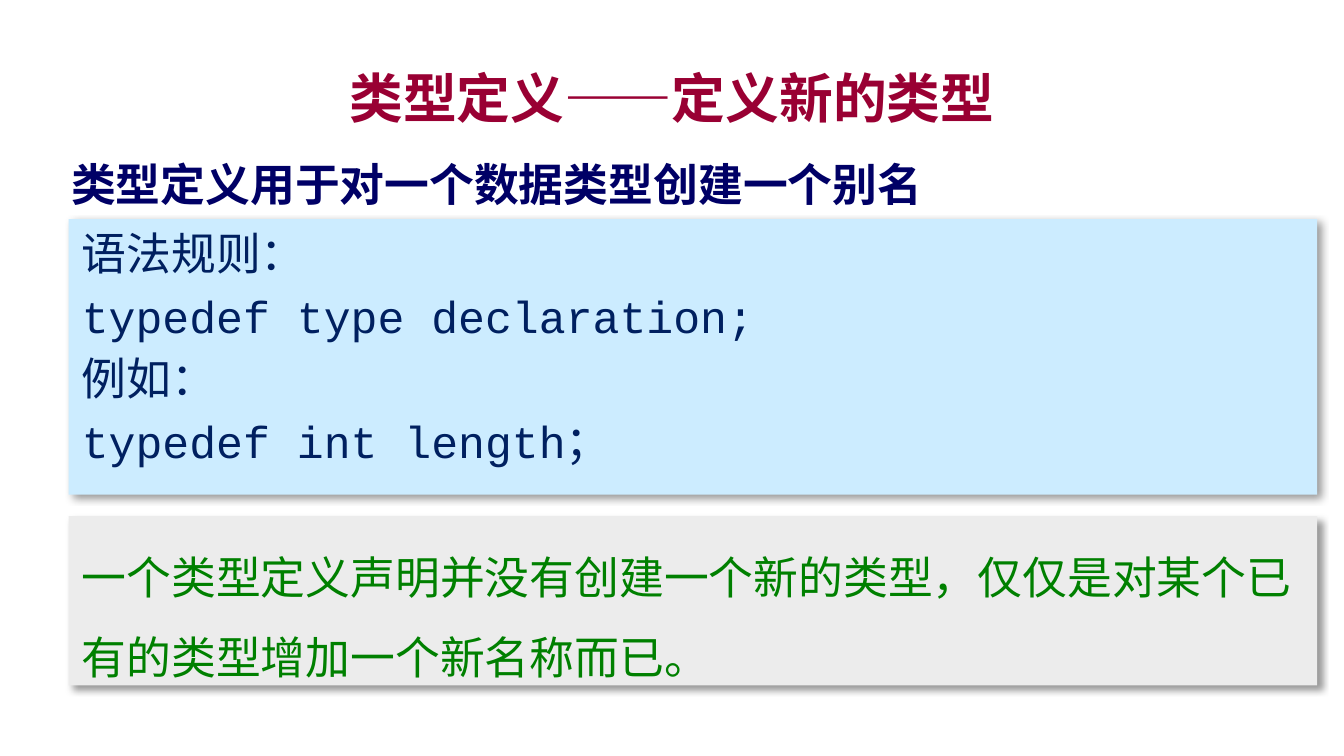
"""Build a slide that explains typedef in C."""
from lxml.etree import SubElement as Sub
from pptx import Presentation
from pptx.dml.color import RGBColor as RGB
from pptx.enum.shapes import MSO_SHAPE as Shape
from pptx.enum.text import MSO_ANCHOR as Anchor, PP_ALIGN as Align
from pptx.oxml.ns import qn
from pptx.util import Inches, Pt

HEX = {"title": "990033", "lead": "000066", "code": "002060", "note": "008000",
       "sky": "CCECFF", "gray": "ECECEC", "shade": "000000"}
SANS, MONO = "Noto Sans CJK SC", "Courier New"
TITLE = "类型定义——定义新的类型"
LEAD = "类型定义用于对一个数据类型创建一个别名"
CODE = ["语法规则：", "typedef type declaration;", "例如：", "typedef int length；"]
NOTE = ["一个类型定义声明并没有创建一个新的类型，仅仅是对某个已有的类型增加一个新名称而已。"]
LEFT, WIDE = 0.51, 9.29
PANELS = [
    (CODE, 1.63, 2.05, "sky", "code", MONO, 1),
    (NOTE, 3.84, 1.26, "gray", "note", SANS, 1.5),
]


def write(frame, lines, face, size, hue, bold=False, align=Align.LEFT):
    frame.word_wrap = True
    frame.text = "\n".join(lines)
    for para in frame.paragraphs:
        para.alignment = align
        font = para.font
        font.name, font.size, font.bold = face, Pt(size), bold
        font.color.rgb = RGB.from_string(HEX[hue])
    return frame.paragraphs


def shade(shape):
    shape.shadow.inherit = False
    glow = shape._element.spPr.find(qn("a:effectLst"))
    drop = Sub(glow, qn("a:outerShdw"), blurRad=str(Pt(4)), dist=str(Pt(3)),
               dir=str(45 * 60000), algn="tl", rotWithShape="0")
    tint = Sub(drop, qn("a:srgbClr"), val=HEX["shade"])
    Sub(tint, qn("a:alpha"), val="40000")


def panel(slide, lines, top, high, fill, hue, face, pitch):
    box = slide.shapes.add_shape(Shape.RECTANGLE, Inches(LEFT), Inches(top),
                                 Inches(WIDE), Inches(high))
    box.fill.solid()
    box.fill.fore_color.rgb = RGB.from_string(HEX[fill])
    box.line.fill.background()
    shade(box)
    box.text_frame.vertical_anchor = Anchor.TOP
    for para in write(box.text_frame, lines, face, 24, hue):
        para.line_spacing = pitch
        para.space_before = Pt(4.8)


def main():
    deck = Presentation()
    deck.slide_width = Inches(10)
    deck.slide_height = deck.slide_width * 9 // 16
    slide = deck.slides.add_slide(deck.slide_layouts[6])
    head = slide.shapes.add_textbox(Inches(0.75), Inches(0.44), Inches(8.5), Inches(0.56))
    head.text_frame.vertical_anchor = Anchor.MIDDLE
    write(head.text_frame, [TITLE], SANS, 28.8, "title", True, Align.CENTER)
    lead = slide.shapes.add_textbox(Inches(0.43), Inches(1.06), Inches(WIDE), Inches(0.57))
    para = write(lead.text_frame, [LEAD], SANS, 24, "lead", True)[0]
    para.line_spacing, para.space_before = Pt(33), Pt(6)
    for item in PANELS:
        panel(slide, *item)
    deck.save("out.pptx")


if __name__ == "__main__":
    main()
